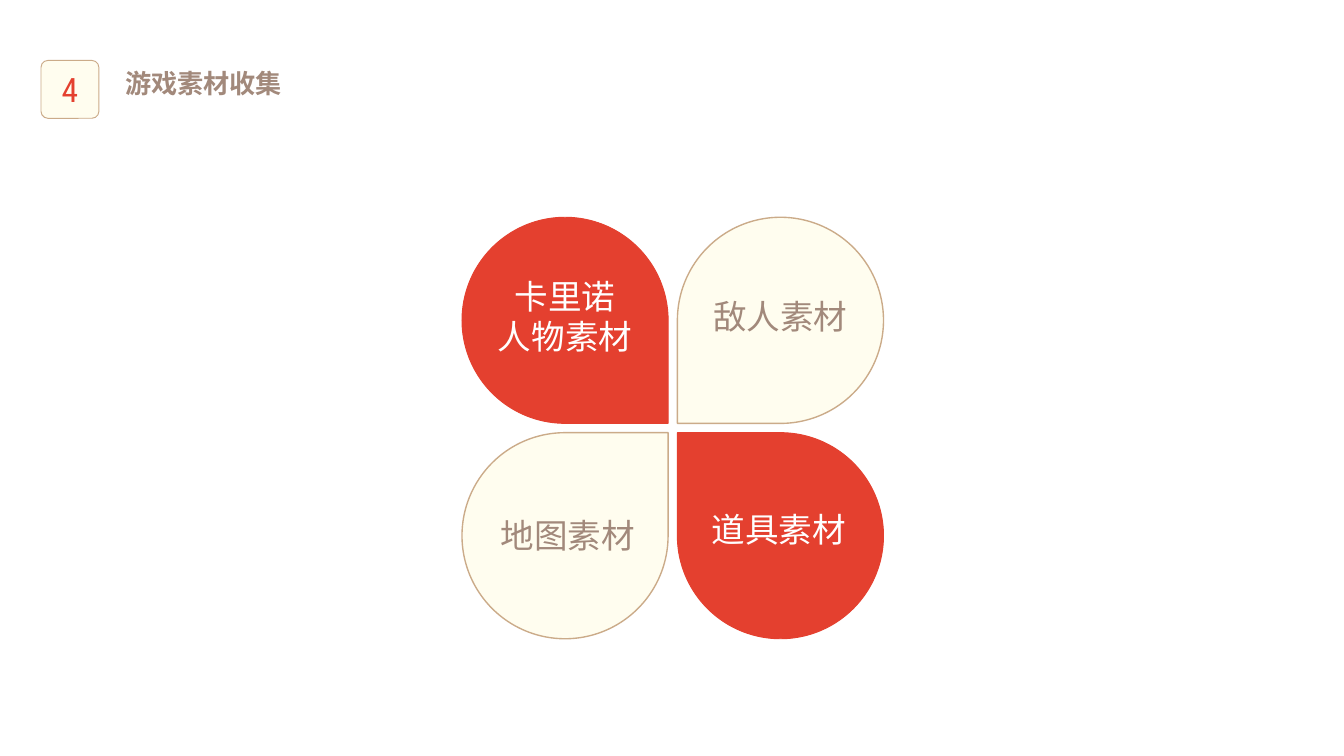
import pptx
import pptx.util
import pptx.dml.color
import pptx.enum.shapes
import pptx.enum.text

Pt = pptx.util.Pt
SHAPE = pptx.enum.shapes.MSO_SHAPE
ALIGN = pptx.enum.text.PP_ALIGN
ANCHOR = pptx.enum.text.MSO_ANCHOR
COLORS = {"red": "E4402F", "cream": "FFFDEF", "tan": "CBAB89", "brown": "A2897B", "white": "FFFFFF"}


def rgb(name):
    return pptx.dml.color.RGBColor.from_string(COLORS[name])


def write(frame, text, font="Calibri", size=18, color="white", bold=False,
          align=ALIGN.CENTER, anchor=ANCHOR.TOP, wrap=False):
    frame.word_wrap = wrap
    frame.auto_size = pptx.enum.text.MSO_AUTO_SIZE.NONE
    frame.vertical_anchor = anchor
    frame.text = text
    for paragraph in frame.paragraphs:
        paragraph.alignment = align
        paragraph.font.name = font
        paragraph.font.size = Pt(size)
        paragraph.font.bold = bold
        paragraph.font.color.rgb = rgb(color)


deck = pptx.Presentation()
deck.slide_width, deck.slide_height = Pt(720), Pt(405)
slide = deck.slides.add_slide(deck.slide_layouts[5])

heading = slide.shapes.title
heading.left, heading.top, heading.width, heading.height = Pt(59.8), Pt(32.4), Pt(620.6), Pt(26.6)
write(heading.text_frame, "游戏素材收集", font="Noto Sans CJK SC", size=14, color="brown",
      bold=True, align=ALIGN.LEFT, wrap=True)

section_badge = slide.shapes.add_shape(SHAPE.ROUNDED_RECTANGLE, Pt(22), Pt(32.4), Pt(31), Pt(31))
section_badge.adjustments[0] = 0.12
section_badge.shadow.inherit = False
section_badge.fill.solid()
section_badge.fill.fore_color.rgb = rgb("cream")
section_badge.line.color.rgb = rgb("tan")
section_badge.line.width = Pt(0.5)
write(section_badge.text_frame, "4", font="Roboto Condensed", color="red", anchor=ANCHOR.MIDDLE)

petal_size, pitch = 110.4, 115.4
petals_left, petals_top = 247.5, 116.4
petals = [
    (0, 0, 90, "red", "red", 0.5, "white", "卡里诺\n人物素材", 259.2, 144, 51.1),
    (1, 0, 180, "cream", "tan", 0.75, "brown", "敌人素材", 374.4, 154.8, 28.8),
    (0, 1, 0, "cream", "tan", 0.75, "brown", "地图素材", 260.6, 272.2, 28.8),
    (1, 1, 270, "red", "red", 0.5, "white", "道具素材", 373.7, 269.3, 28.8),
]
for column, row, turn, fill, outline, weight, ink, text, left, top, height in petals:
    petal = slide.shapes.add_shape(SHAPE.TEAR, Pt(petals_left + column * pitch),
                                   Pt(petals_top + row * pitch), Pt(petal_size), Pt(petal_size))
    petal.rotation = turn
    petal.shadow.inherit = False
    petal.fill.solid()
    petal.fill.fore_color.rgb = rgb(fill)
    petal.line.color.rgb = rgb(outline)
    petal.line.width = Pt(weight)
    label = slide.shapes.add_textbox(Pt(left), Pt(top), Pt(87.1), Pt(height))
    write(label.text_frame, text, color=ink)

deck.save("out.pptx")
